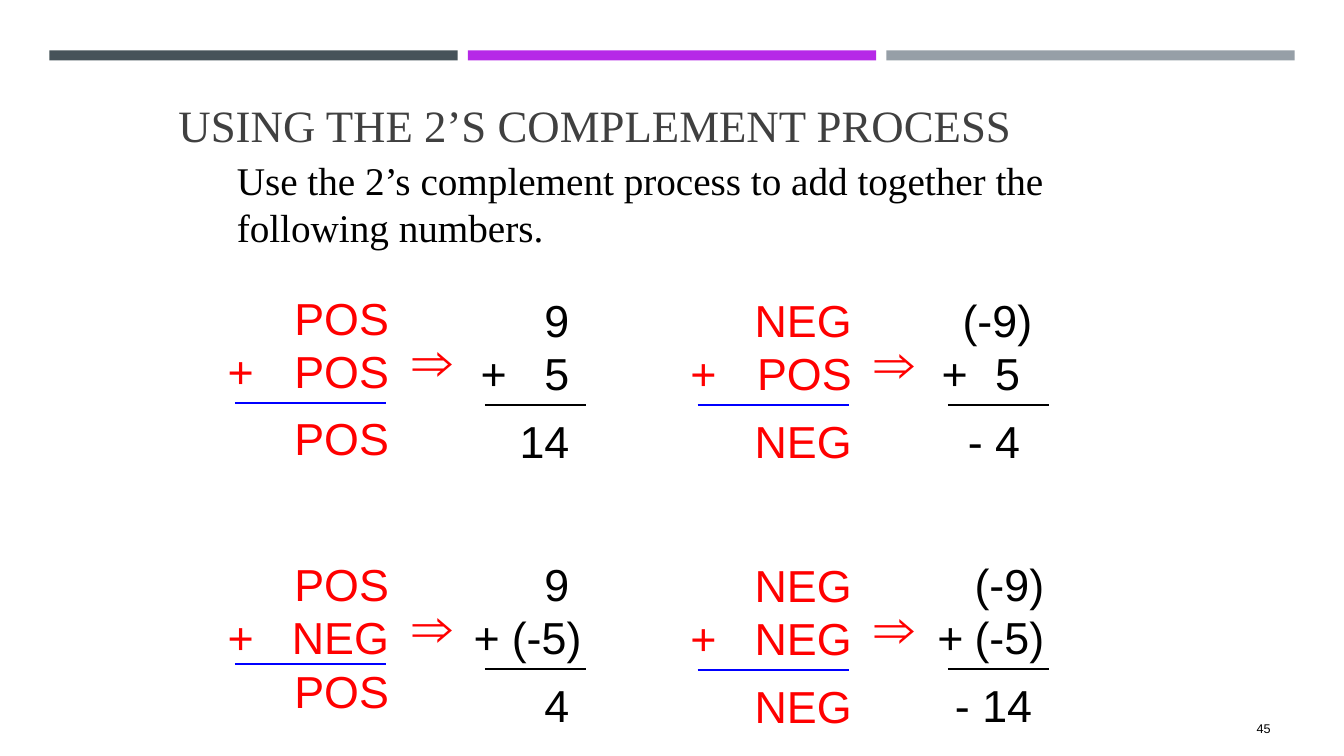
from lxml import etree
from pptx import Presentation
from pptx.dml.color import RGBColor
from pptx.enum import shapes, text
from pptx.oxml import ns
from pptx.util import Inches, Pt

SLATE = RGBColor(0x46, 0x53, 0x59)
PURPLE = RGBColor(0xB6, 0x29, 0xE7)
GREY = RGBColor(0x96, 0x9F, 0xA7)
TITLE_GREY = RGBColor(0x40, 0x40, 0x40)
BLACK = RGBColor(0, 0, 0)
RED = RGBColor(0xFF, 0, 0)
BLUE = RGBColor(0, 0, 0xFF)

SERIF, SANS = "Times New Roman", "Arial"
INSET = 0.1
SPACE_WIDTH = 0.12  # one space of the sums' type
RULE_DROP = 1.17    # from the top of a sum to its rule


class SlideBuilder:
    def __init__(self, presentation):
        self.slide = presentation.slides.add_slide(presentation.slide_layouts[5])

    def add_run(self, paragraph, words, size, font, color):
        run = paragraph.add_run()
        run.text = words
        run.font.size = Pt(size)
        run.font.name = font
        run.font.color.rgb = color

    def title(self, words, left, top, width, height):
        shape = self.slide.shapes.title
        shape.left, shape.top = Inches(left), Inches(top)
        shape.width, shape.height = Inches(width), Inches(height)
        frame = shape.text_frame
        frame.word_wrap = True
        frame.auto_size = text.MSO_AUTO_SIZE.NONE
        frame.vertical_anchor = text.MSO_ANCHOR.BOTTOM
        paragraph = frame.paragraphs[0]
        paragraph.alignment = text.PP_ALIGN.LEFT
        self.add_run(paragraph, words, 32, SERIF, TITLE_GREY)

    def bar(self, left, top, width, height, color):
        shape = self.slide.shapes.add_shape(
            shapes.MSO_SHAPE.RECTANGLE,
            Inches(left), Inches(top), Inches(width), Inches(height))
        shape.shadow.inherit = False
        shape.fill.solid()
        shape.fill.fore_color.rgb = color
        shape.line.fill.background()

    def frame(self, left, top, width, height):
        box = self.slide.shapes.add_textbox(
            Inches(left), Inches(top), Inches(width), Inches(height))
        box.text_frame.word_wrap = True
        return box.text_frame

    def label(self, words, left, top, width, height, size, font, color,
              align=text.PP_ALIGN.LEFT, anchor=text.MSO_ANCHOR.TOP):
        frame = self.frame(left, top, width, height)
        frame.vertical_anchor = anchor
        paragraph = frame.paragraphs[0]
        paragraph.alignment = align
        self.add_run(paragraph, words, size, font, color)

    def rule(self, left, top, width, color):
        line = self.slide.shapes.add_connector(
            shapes.MSO_CONNECTOR.STRAIGHT,
            Inches(left), Inches(top), Inches(left + width), Inches(top))
        line.line.color.rgb = color
        line.line.width = Pt(1.5)
        etree.SubElement(line._element.spPr, ns.qn("a:effectLst"))

    def sum(self, left, right, top, rows, color, result_spacing=1.25):
        """Rows of (sign, operand, spaces kept free at the right)."""
        frame = self.frame(left, top, right - left, 1.85)
        frame.margin_right = 0
        for index, (sign, operand, spaces) in enumerate(rows):
            paragraph = frame.paragraphs[0] if index == 0 else frame.add_paragraph()
            stop = right - left - 2 * INSET - spaces * SPACE_WIDTH
            tabs = etree.SubElement(paragraph._p.get_or_add_pPr(), ns.qn("a:tabLst"))
            etree.SubElement(tabs, ns.qn("a:tab"), pos=str(Inches(stop)), algn="r")
            if index == len(rows) - 1:
                paragraph.line_spacing = result_spacing
            self.add_run(paragraph, f"{sign}\t{operand}", 32, SANS, color)


def main():
    presentation = Presentation()
    presentation.slide_width, presentation.slide_height = Inches(13.33), Inches(7.5)
    builder = SlideBuilder(presentation)

    # Header bars, title and task
    for index, color in enumerate((SLATE, PURPLE, GREY)):
        builder.bar(0.49 + index * 4.15, 0.5, 4.05, 0.1, color)
    builder.title("USING THE 2’S COMPLEMENT PROCESS", 1.67, 0.3, 10, 1.25)
    builder.label("Use the 2’s complement process to add together the following numbers.",
                  2.25, 1.5, 9.08, 1.03, 28, SERIF, BLACK)

    # Sums: column, top, signs, sign rule drop, result spacing, number offset, numbers
    sums = [
        (2.33, 2.83, ("POS", "POS", "POS"), RULE_DROP, 1.25, 2.34,
         (("", "9", 1), ("+", "5", 1), ("", "14", 1))),
        (6.92, 2.85, ("NEG", "POS", "NEG"), RULE_DROP, 1.25, 2.32,
         (("", "(-9)", 1), ("+", "5", 2), ("", "- 4", 2))),
        (2.33, 5.47, ("POS", "NEG", "POS"), 1.12, 1.0, 2.27,
         (("", "9", 1), ("+", "(-5)", 0), ("", "4", 1))),
        (6.92, 5.48, ("NEG", "NEG", "NEG"), RULE_DROP, 1.25, 2.28,
         (("", "(-9)", 0), ("+", "(-5)", 0), ("", "- 14", 1))),
    ]
    for column, top, signs, sign_drop, spacing, offset, numbers in sums:
        sign_rows = [(mark, word, 1) for mark, word in zip(("", "+", ""), signs)]
        builder.sum(column - 0.17, column + 1.75, top, sign_rows, RED, spacing)
        builder.rule(column, top + sign_drop, 1.5, BLUE)
        builder.label("⇒", column + 1.66, top + 0.35, 0.76, 0.77, 40, SANS, RED)
        number_top = 2.85 if top < 4 else 5.47
        builder.sum(column + offset, column + 3.54, number_top, numbers, BLACK)
        builder.rule(column + 2.48, number_top + RULE_DROP, 1, BLACK)

    # Slide number
    builder.label("45", 11.55, 7.03, 1.15, 0.4, 9, SANS, BLACK,
                  text.PP_ALIGN.RIGHT, text.MSO_ANCHOR.MIDDLE)

    presentation.save("out.pptx")


if __name__ == "__main__":
    main()
